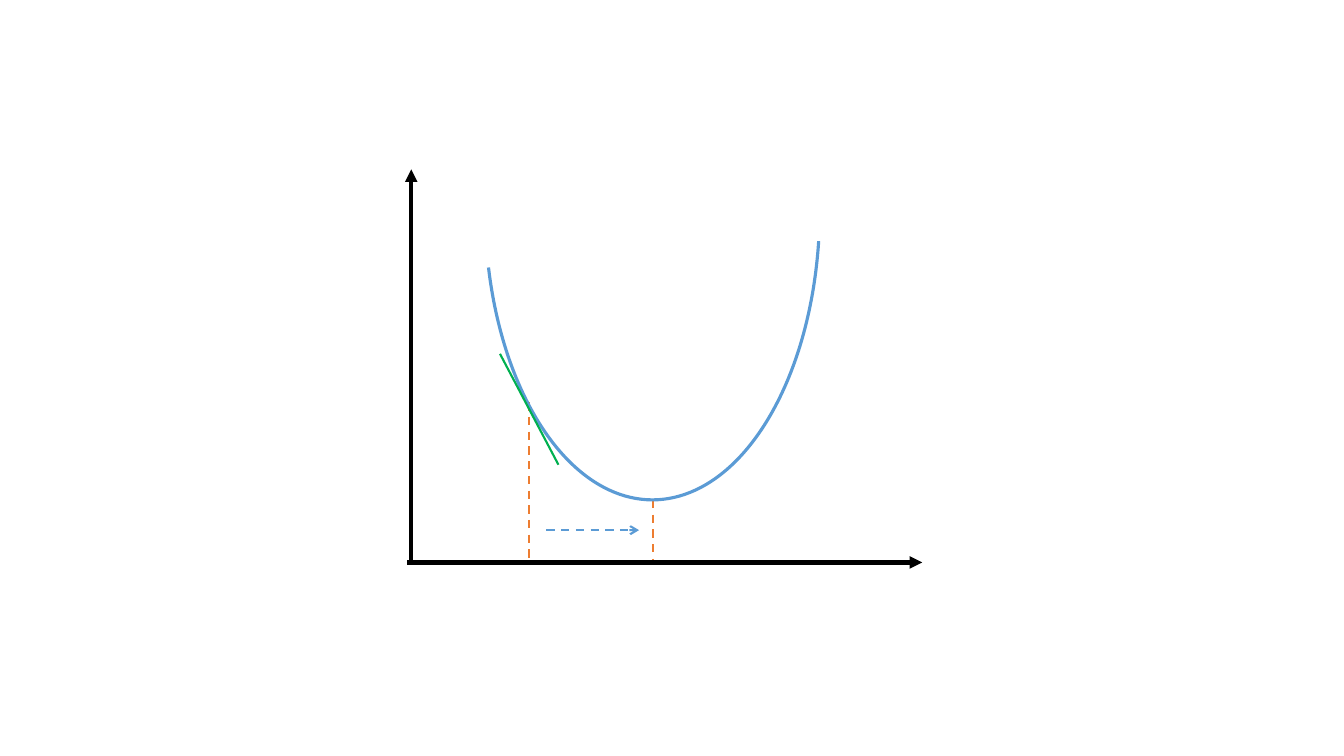
from dataclasses import dataclass

import pptx
import pptx.dml.color
import pptx.enum.dml
import pptx.enum.shapes
import pptx.oxml.ns
import pptx.util
from lxml import etree


@dataclass(frozen=True)
class Theme:
    axis: str = "000000"
    curve: str = "5B9BD5"
    tangent: str = "00B050"
    guide: str = "ED7D31"
    thin: float = 1.5
    medium: float = 2.25
    thick: float = 3


THEME = Theme()
SLIDE_WIDTH = pptx.util.Inches(13.33)
SLIDE_HEIGHT = pptx.util.Inches(7.5)

# Positions are percentages of the slide's width and height.
AXIS_X, AXIS_Y = 30.6, 74.4
POINT_X, MINIMUM_X = 39.38, 48.6
MINIMUM_Y = 66.13
STEP_Y = 70.13


def across(share):
    return round(SLIDE_WIDTH * share / 100)


def down(share):
    return round(SLIDE_HEIGHT * share / 100)


def style_line(line, color, weight):
    line.color.rgb = pptx.dml.color.RGBColor.from_string(color)
    line.width = pptx.util.Pt(weight)


def add_line(slide, start, end, color, weight, dashed=False, head=None):
    connector = slide.shapes.add_connector(
        pptx.enum.shapes.MSO_CONNECTOR.STRAIGHT,
        across(start[0]), down(start[1]), across(end[0]), down(end[1]))
    style_line(connector.line, color, weight)
    if dashed:
        connector.line.dash_style = pptx.enum.dml.MSO_LINE.DASH
    qualify = pptx.oxml.ns.qn
    if head:
        outline = connector.line._get_or_add_ln()
        etree.SubElement(outline, qualify("a:tailEnd"), type=head)
    etree.SubElement(connector._element.spPr, qualify("a:effectLst"))


def add_valley(slide, center, bottom, width, start_angle, end_angle):
    """Draw a U-shaped arc: a right-hand arc turned a quarter clockwise."""
    middle_x, middle_y = across(center[0]), down(center[1])
    length, depth = 2 * (down(bottom) - middle_y), across(width)
    arc = slide.shapes.add_shape(
        pptx.enum.shapes.MSO_SHAPE.ARC,
        middle_x - length // 2, middle_y - depth // 2, length, depth)
    arc.rotation = 90
    # Angles are stored in 60000ths of a degree, adjustments in 100000ths.
    arc.adjustments[0] = start_angle * 0.6
    arc.adjustments[1] = end_angle * 0.6
    arc.fill.background()
    arc.shadow.inherit = False
    style_line(arc.line, THEME.curve, THEME.medium)


def main():
    deck = pptx.Presentation()
    deck.slide_width, deck.slide_height = SLIDE_WIDTH, SLIDE_HEIGHT
    slide = deck.slides.add_slide(deck.slide_layouts[6])

    for guide_x, top in ((MINIMUM_X, MINIMUM_Y), (POINT_X, 53.2)):
        add_line(slide, (guide_x, top), (guide_x, AXIS_Y),
                 THEME.guide, THEME.thin, dashed=True)
    for start, end in (((AXIS_X, AXIS_Y), (AXIS_X, 22.4)),
                       ((30.3, AXIS_Y), (68.62, AXIS_Y))):
        add_line(slide, start, end, THEME.axis, THEME.thick, head="triangle")

    add_valley(slide, center=(48.54, 27.6), bottom=MINIMUM_Y, width=24.9,
               start_angle=281.07, end_angle=70.24)
    add_line(slide, (37.2, 46.8), (41.55, 61.47), THEME.tangent, THEME.thin)
    add_line(slide, (40.65, STEP_Y), (47.55, STEP_Y),
             THEME.curve, THEME.thin, dashed=True, head="arrow")

    deck.save("out.pptx")


if __name__ == "__main__":
    main()
